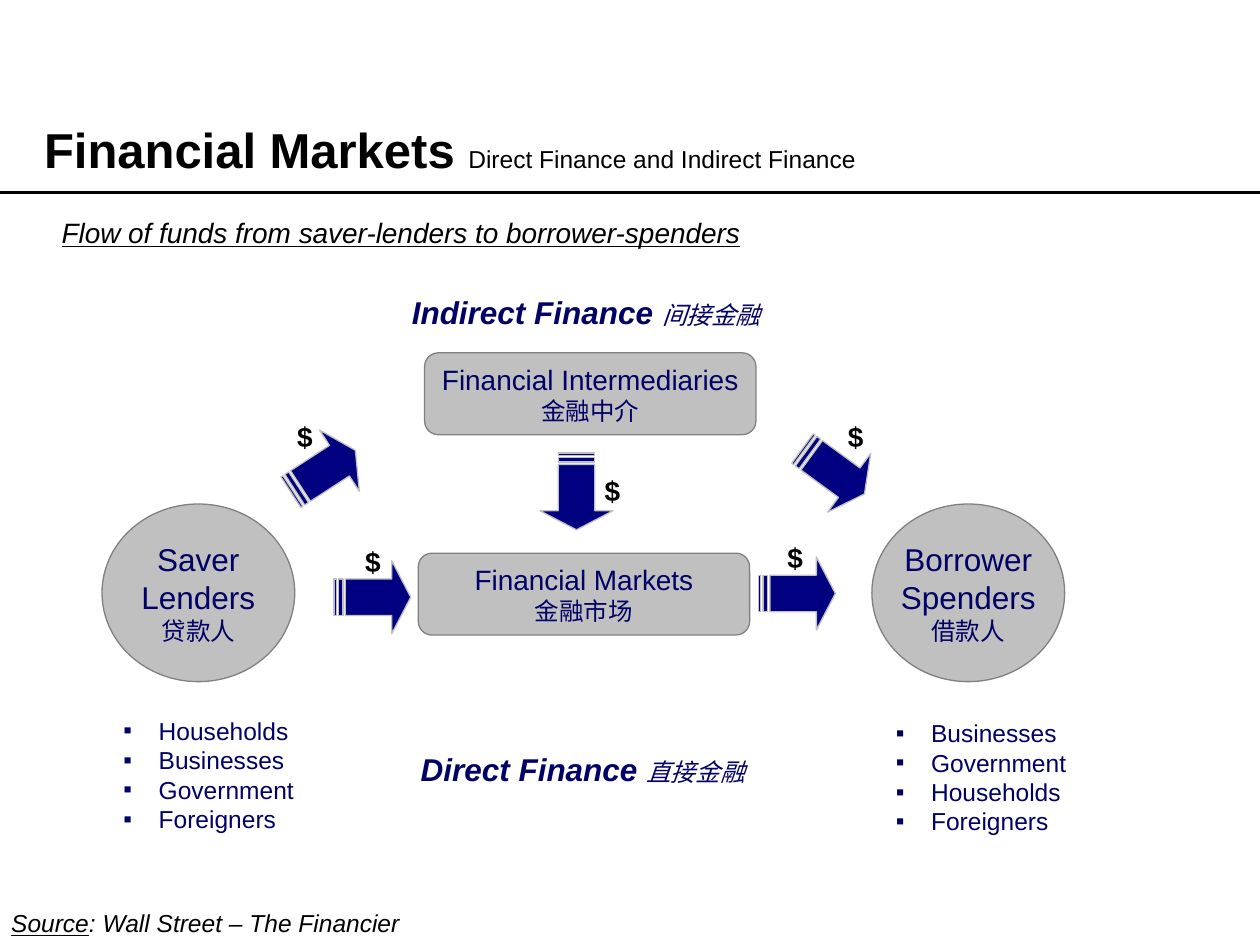
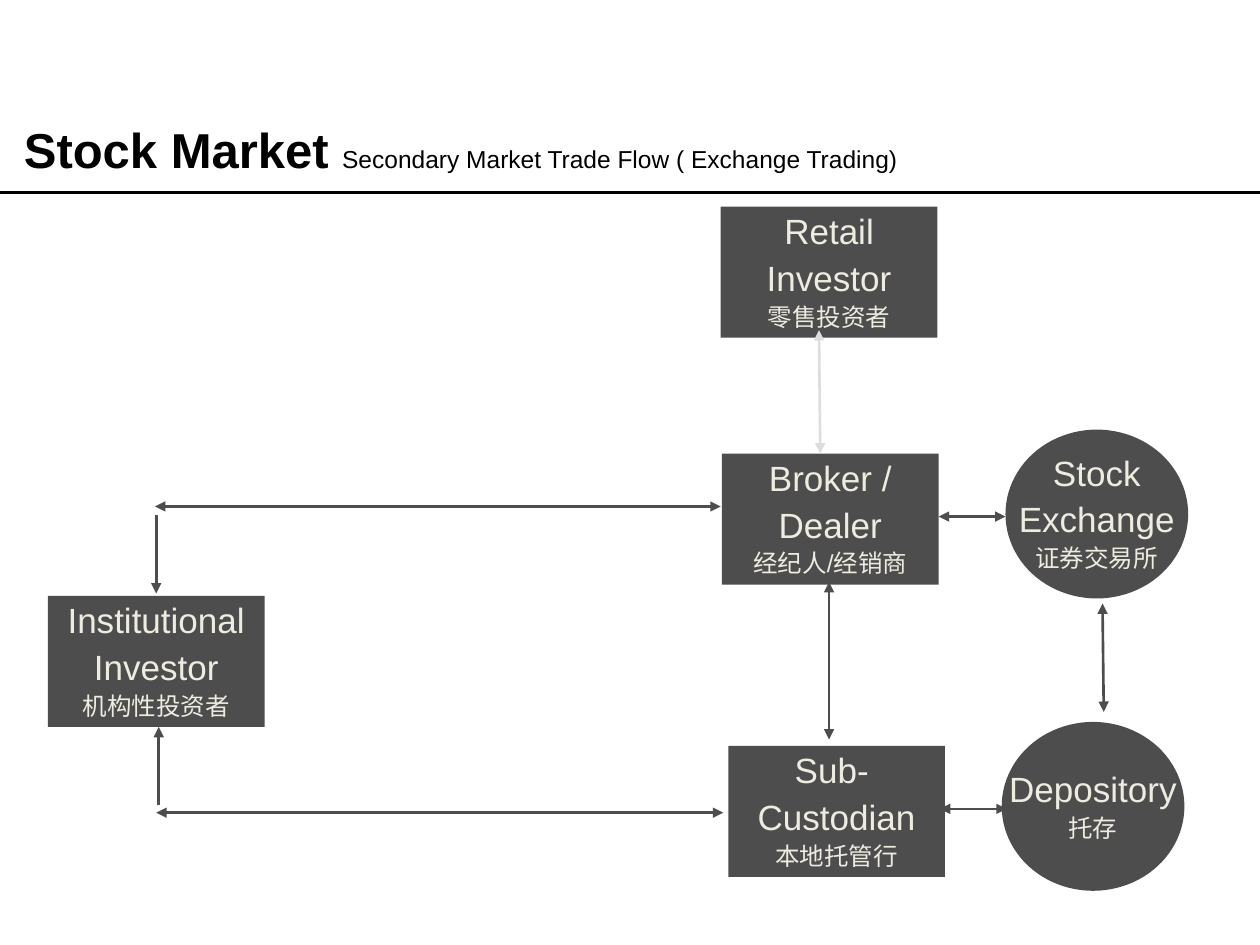
from lxml.etree import SubElement
from pptx import Presentation
from pptx.dml.color import RGBColor
from pptx.enum.shapes import MSO_CONNECTOR, MSO_SHAPE
from pptx.enum.text import MSO_ANCHOR, MSO_AUTO_SIZE, PP_ALIGN
from pptx.oxml.ns import qn
from pptx.util import Inches, Pt

BLACK, NAVY, ARROW, SILVER, GRAY = "000000", "000066", "000080", "C0C0C0", "808080"
DARK, CREAM, PALE = "4D4D4D", "EEECE1", "DDDDDD"
TWO_LISTS, TITLE_ONLY = 3, 5

FUNDS_TITLE = (0.35, "Financial Markets ", "Direct Finance and Indirect Finance")
TRADE_TITLE = (0.19, "Stock Market ", "Secondary Market Trade Flow ( Exchange Trading)")

FUNDS_LOOK = {"fill": SILVER, "line": GRAY, "color": NAVY, "spacing": 1, "before": 0}
TRADE_LOOK = {"fill": DARK, "line": None, "color": CREAM, "spacing": 0.95, "before": 0.185}

BAR, CIRCLE, BOX = MSO_SHAPE.ROUNDED_RECTANGLE, MSO_SHAPE.OVAL, MSO_SHAPE.RECTANGLE
FUNDS_SIZE = {BAR: (2.63, 0.65, 16), CIRCLE: (1.53, 1.41, 18)}
TRADE_SIZE = {BOX: (1.72, 1.04, 20), CIRCLE: (1.45, 1.34, 20)}

FUNDS_NODES = [
    (BAR, 3.37, 2.8, ["Financial Intermediaries"], "金融中介"),
    (BAR, 3.32, 4.39, ["Financial Markets"], "金融市场"),
    (CIRCLE, 0.81, 4, ["Saver", "Lenders"], "贷款人"),
    (CIRCLE, 6.92, 4, ["Borrower", "Spenders"], "借款人"),
]
TRADE_NODES = [
    (BOX, 5.72, 1.64, ["Retail", "Investor"], "零售投资者"),
    (BOX, 0.38, 4.73, ["Institutional", "Investor"], "机构性投资者"),
    (BOX, 5.73, 3.6, ["Broker /", "Dealer"], "经纪人/经销商"),
    (BOX, 5.78, 5.92, ["Sub- ", "Custodian"], "本地托管行"),
    (CIRCLE, 7.98, 3.41, ["Stock", "Exchange"], "证券交易所"),
    (CIRCLE, 7.95, 5.73, ["Depository"], "托存"),
]
MONEY_FLOWS = [
    (6.02, 4.42, 0, 6.15, 4.24),
    (2.65, 4.45, 0, 2.8, 4.27),
    (4.27, 3.61, 90, 4.7, 3.71),
    (6.31, 3.45, 36.2, 6.63, 3.28),
    (2.26, 3.45, 327, 2.26, 3.28),
]
LISTS = [
    (0.88, 5.63, 2.24, ["Households", "Businesses", "Government", "Foreigners"]),
    (7.01, 5.65, 2.06, ["Businesses", "Government", "Households", "Foreigners"]),
]
HEADING = {"size": 18, "color": NAVY, "bold": True, "italic": True}
HEADING_ZH = {"size": 14, "color": NAVY, "italic": True}
UNDERLINED = {"italic": True, "underline": True}
LABELS = [
    (-0.01, 7.16, 3.39, 0.34, [("Source", {"size": 14, **UNDERLINED}),
                               (": Wall Street – The Financier", {"size": 14, "italic": True})]),
    (0.39, 1.66, 5.59, 0.37, [("Flow of funds from saver-lenders to borrower-spenders",
                               {"size": 16, **UNDERLINED})]),
    (3.17, 2.28, 3.02, 0.4, [("Indirect Finance ", HEADING), ("间接金融", HEADING_ZH)]),
    (3.24, 5.9, 2.83, 0.4, [("Direct Finance ", HEADING), ("直接金融", HEADING_ZH)]),
]
START, END, BOTH = ("headEnd",), ("tailEnd",), ("headEnd", "tailEnd")
TRADE_LINKS = [
    (1.24, 4.71, 1.24, 4.09, DARK, START),
    (1.26, 6.39, 1.26, 5.77, DARK, END),
    (1.24, 6.45, 5.74, 6.45, DARK, BOTH),
    (7.45, 4.1, 7.98, 4.1, DARK, BOTH),
    (7.46, 6.42, 7.99, 6.42, DARK, BOTH),
    (6.5, 2.62, 6.51, 3.6, PALE, BOTH),
    (8.75, 4.79, 8.76, 5.65, DARK, BOTH),
    (6.58, 4.62, 6.58, 5.87, DARK, BOTH),
    (1.23, 4.02, 5.72, 4.02, DARK, BOTH),
]


def rgb(value):
    """Turn a hex string into a colour."""
    return RGBColor.from_string(value)


def box(*lengths):
    """Turn numbers into inch lengths."""
    return [Inches(n) for n in lengths]


def add_run(p, text, color=BLACK, size=14, **fmt):
    """Add a formatted run to a paragraph."""
    r = p.add_run()
    r.text = text
    r.font.color.rgb = rgb(color)
    for name, value in {"name": "Arial", "size": Pt(size), "bold": False, **fmt}.items():
        setattr(r.font, name, value)


def frame(sp, **fmt):
    """Set text frame attributes."""
    tf = sp.text_frame
    for name, value in {"auto_size": MSO_AUTO_SIZE.NONE, "vertical_anchor": MSO_ANCHOR.TOP,
                        "word_wrap": True, **fmt}.items():
        setattr(tf, name, value)
    return tf


def place(sp, *lengths):
    """Move and size a placeholder."""
    for name, value in zip(("left", "top", "width", "height"), box(*lengths)):
        setattr(sp, name, value)


def add_line(s, x1, y1, x2, y2, color, ends=()):
    """Draw a line with optional arrowheads."""
    cx = s.shapes.add_connector(MSO_CONNECTOR.STRAIGHT, *box(x1, y1, x2, y2))
    cx.line.color.rgb = rgb(color)
    cx.line.width = Pt(1.5)
    for end in ends:
        SubElement(cx.line._ln, qn("a:" + end), type="triangle")
    SubElement(cx._element.spPr, qn("a:effectLst"))


def add_preset(s, kind, x, y, w, h, fill, line):
    """Draw a flat preset shape."""
    sp = s.shapes.add_shape(kind, *box(x, y, w, h))
    sp.shadow.inherit = False
    sp.fill.solid()
    sp.fill.fore_color.rgb = rgb(fill)
    if line:
        sp.line.color.rgb = rgb(line)
        sp.line.width = Pt(0.75)
    else:
        sp.line.fill.background()
    return sp


def add_node(s, node, sizes, look):
    """Draw a shape with an English name above its Chinese one."""
    kind, x, y, names, chinese = node
    w, h, size = sizes[kind]
    sp = add_preset(s, kind, x, y, w, h, look["fill"], look["line"])
    tf = frame(sp, vertical_anchor=MSO_ANCHOR.MIDDLE, word_wrap=False)
    for i, (text, pts) in enumerate([(n, size) for n in names] + [(chinese, 14)]):
        p = tf.add_paragraph() if i else tf.paragraphs[0]
        p.alignment = PP_ALIGN.CENTER
        p.line_spacing = look["spacing"]
        p.space_before = Pt(round(look["before"] * pts, 1))
        add_run(p, text, look["color"], pts)


def add_label(s, x, y, w, h, runs):
    """Add a one-line text box."""
    p = frame(s.shapes.add_textbox(*box(x, y, w, h)), word_wrap=False).paragraphs[0]
    for text, fmt in runs:
        add_run(p, text, **fmt)


def fill_list(sp, x, y, w, items):
    """Fill a body placeholder with square bullets."""
    place(sp, x, y, w, 1.04)
    tf = frame(sp)
    for i, item in enumerate(items):
        p = tf.add_paragraph() if i else tf.paragraphs[0]
        p.space_before = Pt(0)
        pPr = p._p.get_or_add_pPr()
        pPr.set("marL", str(Inches(0.28)))
        pPr.set("indent", str(-Inches(0.28)))
        SubElement(SubElement(pPr, qn("a:buClr")), qn("a:srgbClr"), val=NAVY)
        SubElement(pPr, qn("a:buFont"), typeface="Arial")
        SubElement(pPr, qn("a:buChar"), char="▪")
        add_run(p, item, NAVY)


def new_slide(prs, layout, title):
    """Start a slide with its title and the rule below it."""
    s = prs.slides.add_slide(prs.slide_layouts[layout])
    x, name, topic = title
    place(s.shapes.title, x, 1.03, 9.65 - x, 0.39)
    margins = dict.fromkeys(("margin_left", "margin_top", "margin_right", "margin_bottom"), 0)
    p = frame(s.shapes.title, **margins).paragraphs[0]
    p.alignment = PP_ALIGN.LEFT
    p.line_spacing = 0.83
    add_run(p, name, size=28, bold=True)
    add_run(p, topic)
    add_line(s, 0, 1.53, 10, 1.53, BLACK)
    return s


def build_funds(prs):
    """Build the flow of funds slide."""
    s = new_slide(prs, TWO_LISTS, FUNDS_TITLE)
    for sp, group in zip(list(s.placeholders)[1:], LISTS):
        fill_list(sp, *group)
    for node in FUNDS_NODES:
        add_node(s, node, FUNDS_SIZE, FUNDS_LOOK)
    for x, y, angle, sign_x, sign_y in MONEY_FLOWS:
        arrow = add_preset(s, MSO_SHAPE.STRIPED_RIGHT_ARROW, x, y, 0.61, 0.58, ARROW, SILVER)
        arrow.adjustments[1] = 0.26
        arrow.rotation = angle
        add_label(s, sign_x, sign_y, 0.32, 0.37, [("$", {"size": 16, "bold": True})])
    for label in LABELS:
        add_label(s, *label)


def build_trades(prs):
    """Build the trade flow slide."""
    s = new_slide(prs, TITLE_ONLY, TRADE_TITLE)
    for node in TRADE_NODES:
        add_node(s, node, TRADE_SIZE, TRADE_LOOK)
    for link in TRADE_LINKS:
        add_line(s, *link)


def main():
    """Build and save the presentation."""
    prs = Presentation()
    prs.slide_width, prs.slide_height = box(10, 7.5)
    build_funds(prs)
    build_trades(prs)
    prs.save("out.pptx")


if __name__ == "__main__":
    main()
